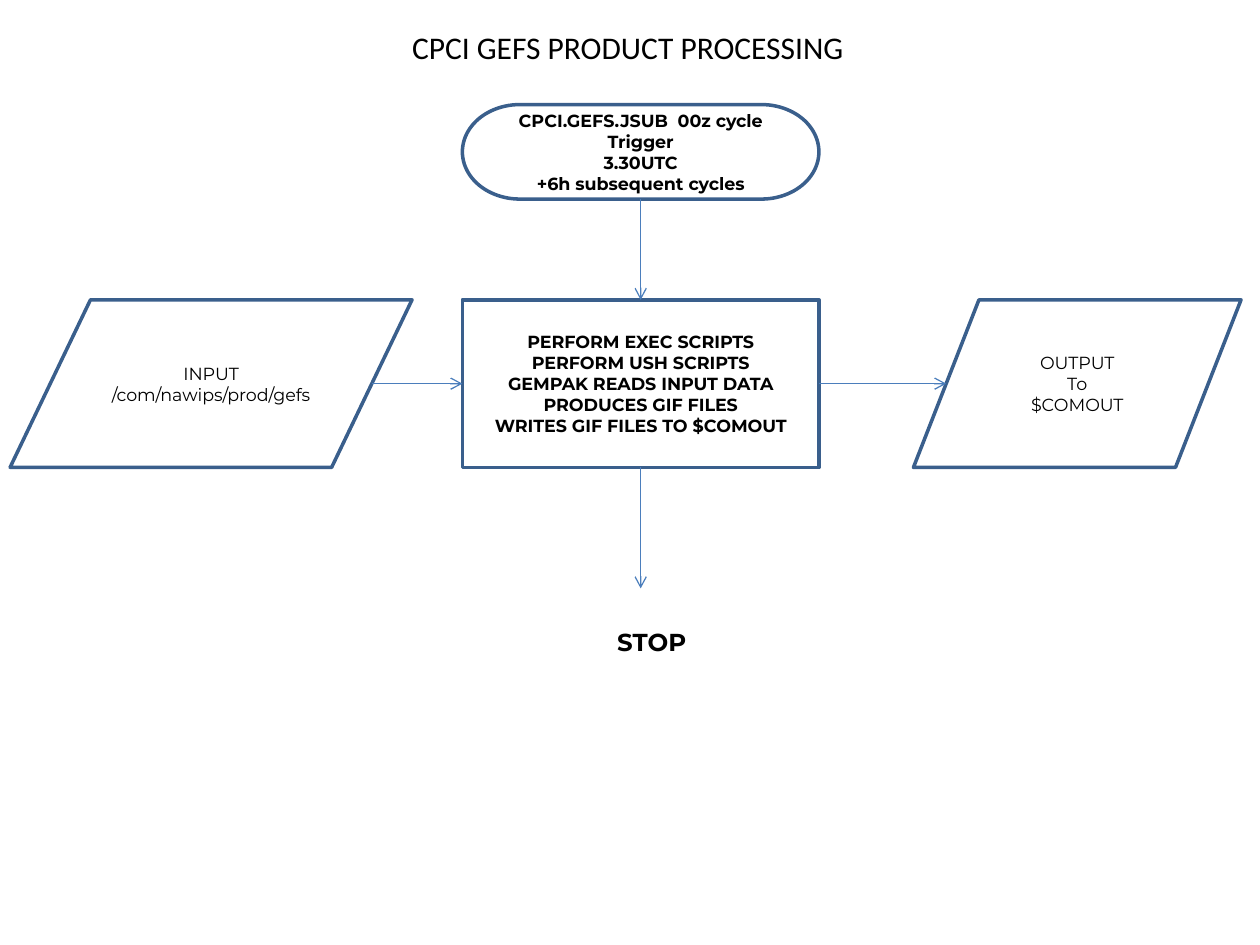
from dataclasses import dataclass

from lxml import etree
from pptx import Presentation
from pptx.dml.color import RGBColor
from pptx.enum import shapes, text
from pptx.oxml import ns
from pptx.util import Inches, Pt

SHAPE = shapes.MSO_SHAPE


@dataclass(frozen=True)
class Theme:
    """Colours, fonts, type sizes and line widths of the slide."""
    ink: str = "000000"
    paper: str = "FFFFFF"
    outline: str = "3A5F8C"
    arrow: str = "4B7EBC"
    title_font: str = "Calibri"
    body_font: str = "Montserrat"
    title_size: float = 18
    stop_size: float = 14
    step_size: float = 10
    outline_width: float = 2
    arrow_width: float = 0.75


THEME = Theme()


def write(frame, lines, font=THEME.body_font, size=THEME.step_size, bold=False,
          align=text.PP_ALIGN.CENTER, anchor=text.MSO_ANCHOR.MIDDLE, wrap=True):
    """Fill a text frame with one paragraph per line."""
    frame.word_wrap = wrap
    frame.auto_size = text.MSO_AUTO_SIZE.NONE
    frame.vertical_anchor = anchor
    for index, line in enumerate(lines):
        paragraph = frame.add_paragraph() if index else frame.paragraphs[0]
        paragraph.alignment = align
        run = paragraph.add_run()
        run.text = line
        run.font.name = font
        run.font.size = Pt(size)
        run.font.bold = bold
        run.font.color.rgb = RGBColor.from_string(THEME.ink)


def add_title(slide, box, wording):
    """Move the title placeholder into the box and write it."""
    title = slide.shapes.title
    title.left, title.top, title.width, title.height = map(Inches, box)
    write(title.text_frame, [wording], font=THEME.title_font, size=THEME.title_size,
          align=text.PP_ALIGN.LEFT, anchor=text.MSO_ANCHOR.TOP)


def add_step(slide, box, outline, lines, bold=False):
    """Draw one outlined flowchart step in the box."""
    step = slide.shapes.add_shape(outline, *map(Inches, box))
    step.shadow.inherit = False
    step.fill.solid()
    step.fill.fore_color.rgb = RGBColor.from_string(THEME.paper)
    step.line.color.rgb = RGBColor.from_string(THEME.outline)
    step.line.width = Pt(THEME.outline_width)
    write(step.text_frame, lines, bold=bold)


def add_arrow(slide, start, end):
    """Draw an arrow from start to end."""
    arrow = slide.shapes.add_connector(
        shapes.MSO_CONNECTOR.STRAIGHT, *map(Inches, (*start, *end)))
    arrow.line.color.rgb = RGBColor.from_string(THEME.arrow)
    arrow.line.width = Pt(THEME.arrow_width)
    etree.SubElement(arrow.line._get_or_add_ln(), ns.qn("a:tailEnd"), type="arrow")
    etree.SubElement(arrow._element.spPr, ns.qn("a:effectLst"))


def add_stop(slide, box):
    """Write the closing label in the box."""
    stop = slide.shapes.add_textbox(*map(Inches, box))
    write(stop.text_frame, ["STOP"], size=THEME.stop_size, bold=True,
          align=text.PP_ALIGN.LEFT, anchor=text.MSO_ANCHOR.TOP, wrap=False)


def add_flow(slide, trigger, source, process, output, end_y):
    """Draw the four steps in their boxes and the arrows joining them."""
    add_step(slide, trigger, SHAPE.FLOWCHART_TERMINATOR,
             ["CPCI.GEFS.JSUB  00z cycle Trigger", "3.30UTC", "+6h subsequent cycles"],
             bold=True)
    add_step(slide, source, SHAPE.FLOWCHART_DATA, ["INPUT", "/com/nawips/prod/gefs"])
    add_step(slide, process, SHAPE.FLOWCHART_PROCESS,
             ["PERFORM EXEC SCRIPTS", "PERFORM USH SCRIPTS", "GEMPAK READS INPUT DATA",
              "PRODUCES GIF FILES", "WRITES GIF FILES TO $COMOUT"], bold=True)
    add_step(slide, output, SHAPE.FLOWCHART_DATA, ["OUTPUT", "To", "$COMOUT"])

    left, top, width, height = process
    centre, middle = left + width / 2, top + height / 2
    slant = 0.1
    source_edge = source[0] + source[2] * (1 - slant)
    output_edge = output[0] + output[2] * slant
    add_arrow(slide, (source_edge, middle), (left, middle))
    add_arrow(slide, (centre, trigger[1] + trigger[3]), (centre, top))
    add_arrow(slide, (centre, top + height), (centre, end_y))
    add_arrow(slide, (left + width, middle), (output_edge, middle))


def main():
    """Build the slide and save it."""
    deck = Presentation()
    deck.slide_width, deck.slide_height = Inches(10), Inches(7.5)
    slide = deck.slides.add_slide(deck.slide_layouts[5])
    row_top, row_height = 2.38, 1.33
    column_left, column_width = 3.67, 2.83
    add_title(slide, (3.17, 0.17, 4.83, 0.4), "CPCI GEFS PRODUCT PROCESSING")
    add_flow(slide,
             trigger=(column_left, 0.83, column_width, 0.75),
             source=(0.08, row_top, 3.19, row_height),
             process=(column_left, row_top, column_width, row_height),
             output=(7.25, row_top, 2.6, row_height),
             end_y=4.67)
    add_stop(slide, (4.8, 4.93, 0.78, 0.34))
    deck.save("out.pptx")


if __name__ == "__main__":
    main()
